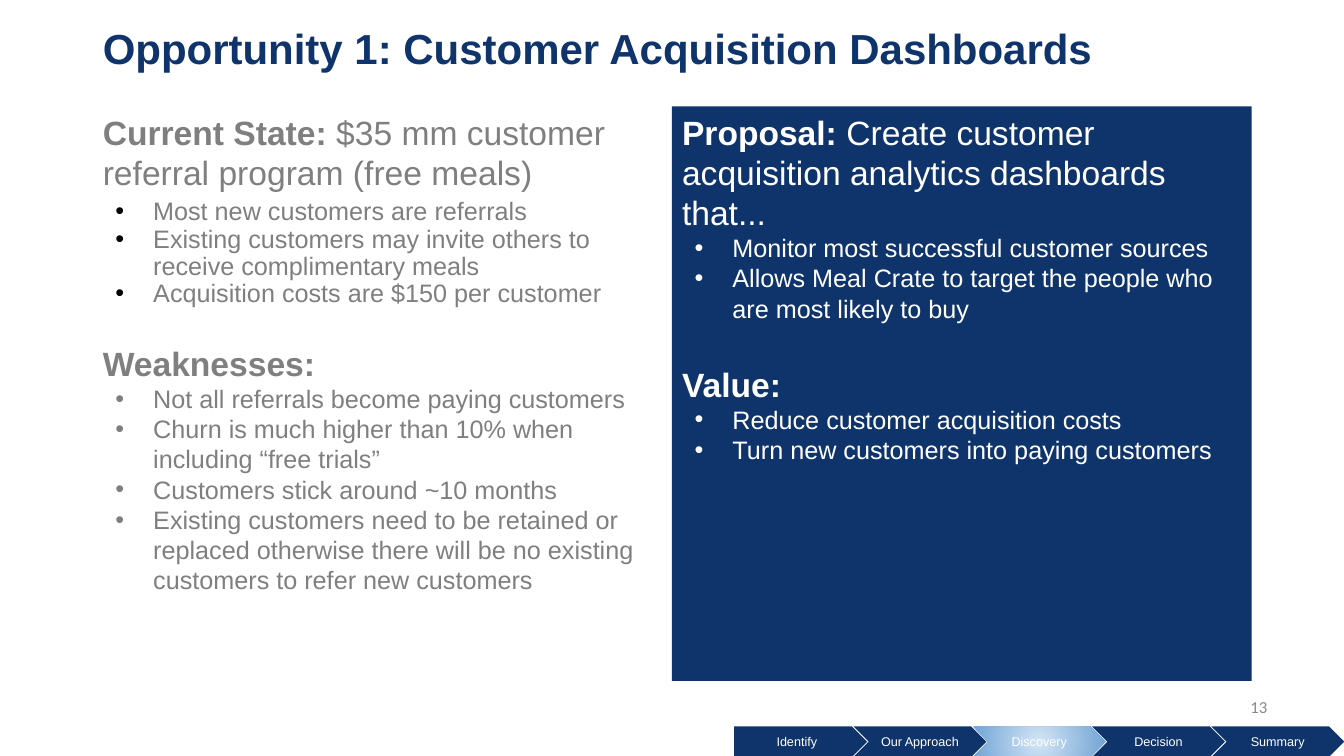
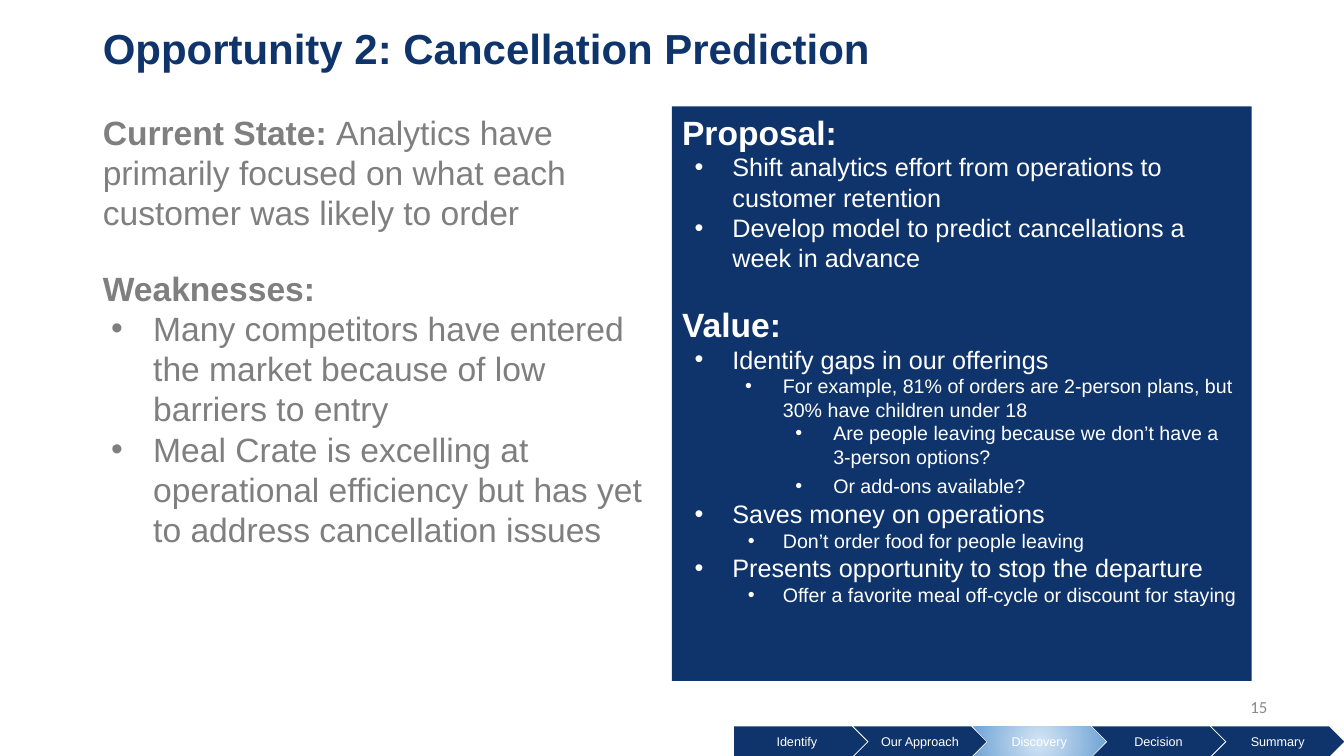
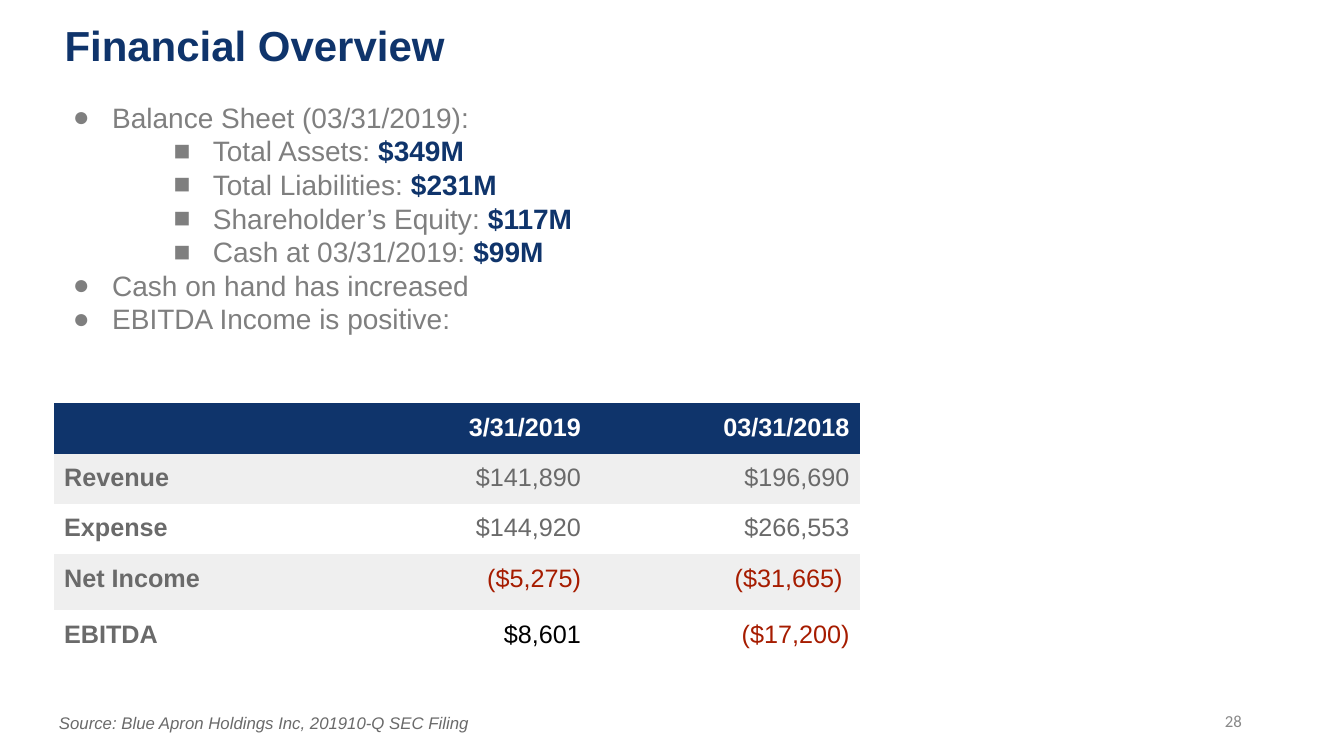
from dataclasses import dataclass
from typing import NamedTuple

from pptx import Presentation
from pptx.dml.color import RGBColor
from pptx.enum.shapes import MSO_SHAPE
from pptx.enum.text import MSO_ANCHOR, MSO_AUTO_SIZE, PP_ALIGN
from pptx.oxml import parse_xml
from pptx.oxml.ns import nsdecls, qn
from pptx.util import Pt

# Shared look
NAVY, WHITE, GRAY = "0F346B", "FFFFFF", "7F7F7F"
BLACK, DARK_GRAY, PAGE_GRAY = "000000", "6A6A6A", "888888"
BAND_GRAY, RED = "EFEFEF", "A61C00"
GLOW_CENTER, GLOW_EDGE = "D4E5F5", "70A4D5"
FONT = "Arial"
NO_STYLE_TABLE = "{2D5ABB26-0587-4C30-8999-92F81FD0307C}"

STEPS = ["Identify", "Our Approach", "Discovery", "Decision", "Summary"]
CURRENT_STEP = "Discovery"
STEP_LEFT, STEP_TOP, STEP_PITCH = 524.4, 518.8, 85.2
STEP_WIDTH, STEP_HEIGHT = 95, 22


class Box(NamedTuple):
    left: float
    top: float
    width: float
    height: float


class Margins(NamedTuple):
    side: float = 7.2
    edge: float = 3.6


TITLE_BOX = Box(66.24, 16.5, 828, 40.3)
LEFT_PANEL = Box(66.24, 76, 414, 410.4)
RIGHT_PANEL = Box(480, 76, 414, 410.4)
PAGE_BOX = Box(693.4, 490.3, 219, 28.8)


@dataclass(frozen=True)
class Line:
    """One paragraph: bold lead, plain text, then a bold navy figure."""
    text: str = ""
    lead: str = ""
    figure: str = ""
    size: float = 18
    level: int = 0
    bullet: str = ""
    bullet_color: str = ""
    hang: float = 27
    before: float = 0
    spacing: float = 1.0


@dataclass(frozen=True)
class Opportunity:
    title: str
    page: str
    left: list[Line]
    right: list[Line]


@dataclass(frozen=True)
class Amount:
    text: str
    color: str = DARK_GRAY


def heading(lead: str, text: str = "", before: float = 0) -> Line:
    return Line(text, lead, size=24, before=before)


def bullet(text: str, size: float = 18, **options) -> Line:
    return Line(text, size=size, bullet="•", **options)


def rgb(color: str) -> RGBColor:
    return RGBColor.from_string(color)


def place(shape, box: Box) -> None:
    shape.left, shape.top, shape.width, shape.height = map(Pt, box)


def set_font(font, size: float, color: str, name: str = FONT, bold: bool | None = None) -> None:
    font.name, font.size, font.bold = name, Pt(size), bold
    font.color.rgb = rgb(color)


def format_frame(frame, margins: Margins, anchor) -> None:
    frame.word_wrap = True
    frame.auto_size = MSO_AUTO_SIZE.NONE
    frame.vertical_anchor = anchor
    frame.margin_left = frame.margin_right = Pt(margins.side)
    frame.margin_top = frame.margin_bottom = Pt(margins.edge)


def set_bullet(paragraph, line: Line, color: str) -> None:
    properties = paragraph._p.get_or_add_pPr()
    if not line.bullet:
        properties.set("marL", "0")
        properties.set("indent", "0")
        properties.append(parse_xml(f"<a:buNone {nsdecls('a')}/>"))
        return
    properties.set("marL", str(Pt(36 * (line.level + 1))))
    properties.set("indent", str(-Pt(line.hang)))
    for element in (
        f'<a:buClr {nsdecls("a")}><a:srgbClr val="{line.bullet_color or color}"/></a:buClr>',
        f'<a:buFont {nsdecls("a")} typeface="{FONT}"/>',
        f'<a:buChar {nsdecls("a")} char="{line.bullet}"/>',
    ):
        properties.append(parse_xml(element))


def write_lines(frame, lines: list[Line], color: str) -> None:
    for index, line in enumerate(lines):
        paragraph = frame.add_paragraph() if index else frame.paragraphs[0]
        paragraph.level = line.level
        set_bullet(paragraph, line, color)
        paragraph.space_before = Pt(line.before)
        paragraph.line_spacing = line.spacing
        set_font(paragraph.font, line.size, color)
        for text, bold in ((line.lead, True), (line.text, False), (line.figure, True)):
            if text:
                run = paragraph.add_run()
                run.text, run.font.bold = text, bold
                if text == line.figure:
                    run.font.color.rgb = rgb(NAVY)


def add_title(slide, text: str, box: Box = TITLE_BOX) -> None:
    title = slide.shapes.title
    place(title, box)
    format_frame(title.text_frame, Margins(), MSO_ANCHOR.MIDDLE)
    title.text_frame.text = text
    paragraph = title.text_frame.paragraphs[0]
    paragraph.alignment = PP_ALIGN.LEFT
    paragraph.line_spacing = 0.9
    set_font(paragraph.font, 30, NAVY, bold=True)


def fill_body(body, box: Box, lines: list[Line], color: str, margins: Margins = Margins()) -> None:
    place(body, box)
    format_frame(body.text_frame, margins, MSO_ANCHOR.TOP)
    write_lines(body.text_frame, lines, color)


def add_text(slide, box: Box, text: str, margins: Margins, anchor):
    text_box = slide.shapes.add_textbox(*map(Pt, box))
    format_frame(text_box.text_frame, margins, anchor)
    text_box.text_frame.text = text
    return text_box.text_frame.paragraphs[0]


def add_page_number(slide, number: str, box: Box = PAGE_BOX) -> None:
    paragraph = add_text(slide, box, number, Margins(), MSO_ANCHOR.MIDDLE)
    paragraph.alignment = PP_ALIGN.RIGHT
    set_font(paragraph.font, 12, PAGE_GRAY, "Calibri")


def fill_glow(shape) -> None:
    """Radial gradient that marks the current step."""
    shape.fill.gradient()
    for stop, color in zip(shape.fill.gradient_stops, (GLOW_CENTER, GLOW_EDGE)):
        stop.color.rgb = rgb(color)
    gradient = shape._element.spPr.find(qn("a:gradFill"))
    gradient.replace(gradient.find(qn("a:lin")), parse_xml(
        f'<a:path {nsdecls("a")} path="circle">'
        '<a:fillToRect l="50000" t="50000" r="50000" b="50000"/></a:path>'))


def add_step_band(slide) -> None:
    for index, step in enumerate(STEPS):
        kind = MSO_SHAPE.CHEVRON if index else MSO_SHAPE.PENTAGON
        box = Box(STEP_LEFT + index * STEP_PITCH, STEP_TOP, STEP_WIDTH, STEP_HEIGHT)
        shape = slide.shapes.add_shape(kind, *map(Pt, box))
        shape.shadow.inherit = False
        shape.line.fill.background()
        if step == CURRENT_STEP:
            fill_glow(shape)
        else:
            shape.fill.solid()
            shape.fill.fore_color.rgb = rgb(NAVY)
        format_frame(shape.text_frame, Margins(7.2, 7.2), MSO_ANCHOR.MIDDLE)
        shape.text_frame.text = step
        paragraph = shape.text_frame.paragraphs[0]
        paragraph.alignment = PP_ALIGN.CENTER
        set_font(paragraph.font, 9, WHITE)


def add_opportunity(presentation, opportunity: Opportunity) -> None:
    slide = presentation.slides.add_slide(presentation.slide_layouts[3])
    add_title(slide, opportunity.title)
    left_body, right_body = slide.placeholders[1], slide.placeholders[2]
    fill_body(left_body, LEFT_PANEL, opportunity.left, GRAY)
    right_body.fill.solid()
    right_body.fill.fore_color.rgb = rgb(NAVY)
    fill_body(right_body, RIGHT_PANEL, opportunity.right, WHITE)
    add_page_number(slide, opportunity.page)
    add_step_band(slide)


# Content of the two opportunity slides
OPPORTUNITIES = [
    Opportunity(
        "Opportunity 1: Customer Acquisition Dashboards", "13",
        left=[
            heading("Current State: ", "$35 mm customer referral program (free meals)"),
            bullet("Most new customers are referrals", bullet_color=BLACK, spacing=0.9, before=5),
            bullet("Existing customers may invite others to receive complimentary meals",
                   bullet_color=BLACK, spacing=0.9),
            bullet("Acquisition costs are $150 per customer", bullet_color=BLACK, spacing=0.9),
            heading("Weaknesses:", before=25),
            bullet("Not all referrals become paying customers"),
            bullet("Churn is much higher than 10% when including “free trials”"),
            bullet("Customers stick around ~10 months"),
            bullet("Existing customers need to be retained or replaced otherwise there "
                   "will be no existing customers to refer new customers"),
        ],
        right=[
            heading("Proposal: ", "Create customer acquisition analytics dashboards that..."),
            bullet("Monitor most successful customer sources"),
            bullet("Allows Meal Crate to target the people who are most likely to buy"),
            heading("Value:", before=29),
            bullet("Reduce customer acquisition costs"),
            bullet("Turn new customers into paying customers"),
        ],
    ),
    Opportunity(
        "Opportunity 2: Cancellation Prediction", "15",
        left=[
            heading("Current State: ", "Analytics have primarily focused on what each "
                    "customer was likely to order"),
            heading("Weaknesses:", before=25),
            bullet("Many competitors have entered the market because of low barriers to entry",
                   24, hang=30),
            bullet("Meal Crate is excelling at operational efficiency but has yet to address "
                   "cancellation issues", 24, hang=30),
        ],
        right=[
            heading("Proposal:"),
            bullet("Shift analytics effort from operations to customer retention"),
            bullet("Develop model to predict cancellations a week in advance"),
            heading("Value:", before=22),
            bullet("Identify gaps in our offerings"),
            bullet("For example, 81% of orders are 2-person plans, but 30% have children "
                   "under 18", 14, level=1),
            bullet("Are people leaving because we don’t have a 3-person options?", 14, level=2),
            bullet("Or add-ons available?", 14, level=2, before=4),
            bullet("Saves money on operations", before=1),
            bullet("Don’t order food for people leaving", 14, level=1, hang=25),
            bullet("Presents opportunity to stop the departure"),
            bullet("Offer a favorite meal off-cycle or discount for staying", 14, level=1, hang=25),
        ],
    ),
]

# Content of the financial slide
BALANCE = [
    ("Total Assets: ", "$349M"),
    ("Total Liabilities: ", "$231M"),
    ("Shareholder’s Equity: ", "$117M"),
    ("Cash at 03/31/2019: ", "$99M"),
]
FINANCIAL_LINES = [
    Line("Balance Sheet (03/31/2019):", size=20, bullet="●", hang=28),
    *(Line(label, figure=value, size=20, level=2, bullet="■", hang=28)
      for label, value in BALANCE),
    Line("Cash on hand has increased", size=20, bullet="●", hang=28),
    Line("EBITDA Income is positive:", size=20, bullet="●", hang=28),
]
RESULTS = [
    [Amount(""), Amount("3/31/2019", WHITE), Amount("03/31/2018", WHITE)],
    [Amount("Revenue"), Amount("$141,890"), Amount("$196,690")],
    [Amount("Expense"), Amount("$144,920"), Amount("$266,553")],
    [Amount("Net Income"), Amount("($5,275)", RED), Amount("($31,665) ", RED)],
    [Amount("EBITDA"), Amount("$8,601", BLACK), Amount("($17,200)", RED)],
]
ROW_HEIGHTS = [36, 36, 36, 40, 40]
RESULTS_BOX = Box(38.6, 288, 575.4, sum(ROW_HEIGHTS))


def add_results_table(slide) -> None:
    table = slide.shapes.add_table(len(RESULTS), len(RESULTS[0]), *map(Pt, RESULTS_BOX)).table
    table._tbl.tblPr.find(qn("a:tableStyleId")).text = NO_STYLE_TABLE
    table.first_row = table.horz_banding = False
    for row_index, amounts in enumerate(RESULTS):
        table.rows[row_index].height = Pt(ROW_HEIGHTS[row_index])
        row_fill = BAND_GRAY if row_index % 2 else WHITE
        for column_index, amount in enumerate(amounts):
            cell = table.cell(row_index, column_index)
            cell.fill.solid()
            cell.fill.fore_color.rgb = rgb(row_fill if row_index else NAVY)
            cell.margin_left = cell.margin_right = Pt(7.2)
            cell.margin_top = cell.margin_bottom = Pt(7.2)
            cell.text = amount.text
            paragraph = cell.text_frame.paragraphs[0]
            paragraph.alignment = PP_ALIGN.RIGHT if column_index else PP_ALIGN.LEFT
            is_label = row_index == 0 or column_index == 0
            set_font(paragraph.font, 18, amount.color, bold=is_label)


def add_financials(presentation) -> None:
    slide = presentation.slides.add_slide(presentation.slide_layouts[1])
    add_title(slide, "Financial Overview", Box(38.9, 14.2, 828, 40.3))
    fill_body(slide.placeholders[1], Box(38.9, 69, 379.4, 199.4), FINANCIAL_LINES, GRAY,
              Margins(5.2, 2.6))
    add_results_table(slide)
    source = add_text(slide, Box(35, 502, 586, 38),
                      "Source: Blue Apron Holdings Inc, 201910-Q SEC Filing",
                      Margins(7.2, 7.2), MSO_ANCHOR.TOP)
    set_font(source.font, 12, DARK_GRAY)
    source.font.italic = True
    add_page_number(slide, "28", Box(678.2, 500.4, 216, 28.8))


def main() -> None:
    presentation = Presentation()
    presentation.slide_width, presentation.slide_height = Pt(960), Pt(540)
    for opportunity in OPPORTUNITIES:
        add_opportunity(presentation, opportunity)
    add_financials(presentation)
    presentation.save("out.pptx")


if __name__ == "__main__":
    main()
